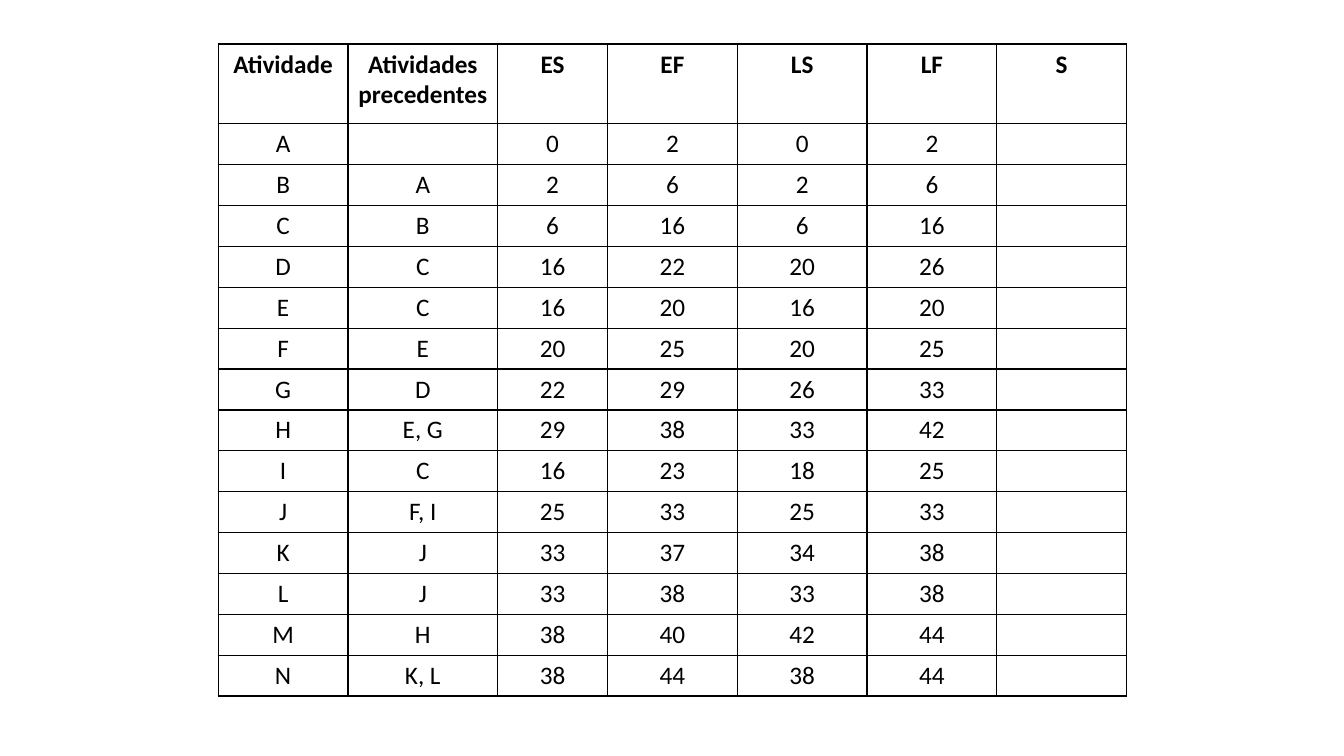
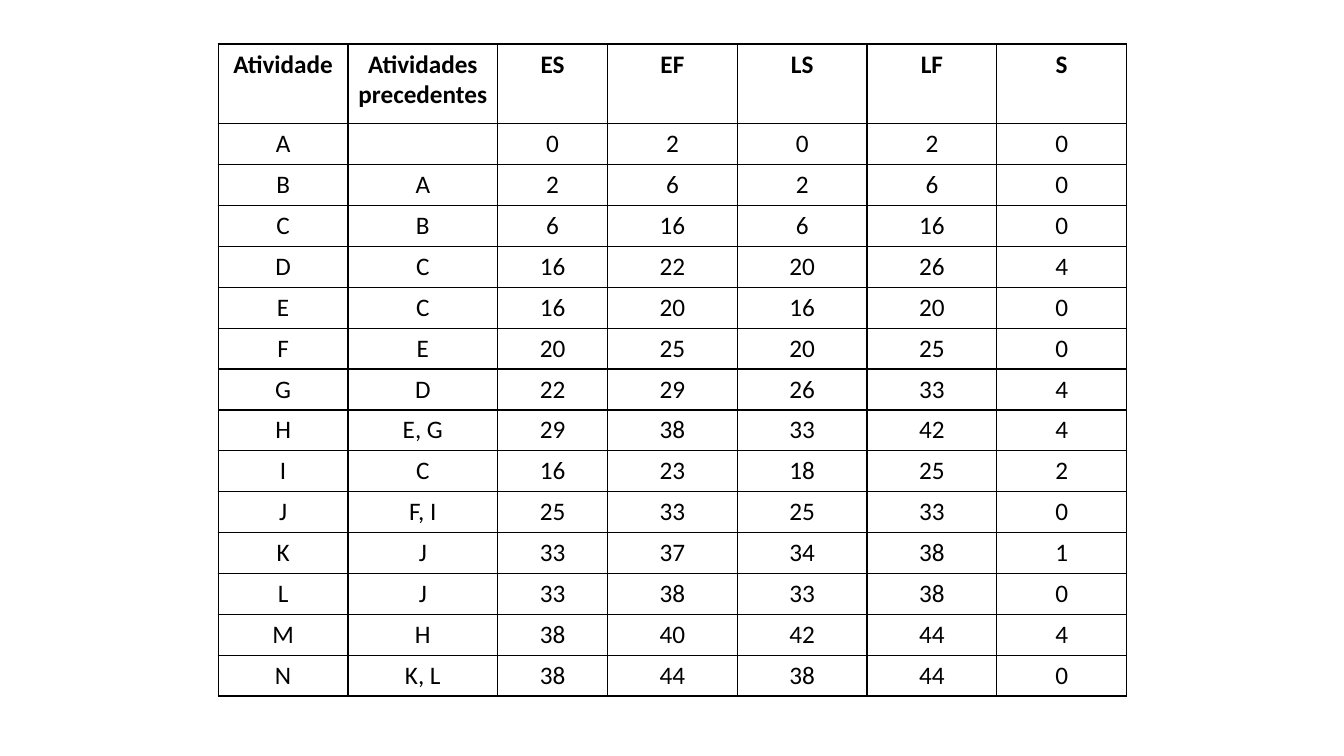
from dataclasses import dataclass

from lxml import etree
from pptx import Presentation
from pptx.dml.color import RGBColor
from pptx.enum.text import MSO_ANCHOR, PP_ALIGN
from pptx.oxml.ns import qn
from pptx.slide import Slide
from pptx.table import _Cell as Cell
from pptx.util import Cm, Pt


@dataclass(frozen=True)
class Theme:
    font: str = "Calibri"
    ink: str = "000000"
    text_size: Pt = Pt(18)
    border_width: Pt = Pt(1)


@dataclass(frozen=True)
class Activity:
    label: str
    predecessors: str
    es: int
    ef: int
    ls: int
    lf: int

    def row(self, show_slack: bool) -> list[str]:
        slack = self.ls - self.es if show_slack else ""
        values = (self.label, self.predecessors, self.es, self.ef, self.ls, self.lf, slack)
        return [str(value) for value in values]


THEME = Theme()
HEADINGS = ["Atividade", "Atividades precedentes", "ES", "EF", "LS", "LF", "S"]
ACTIVITIES = [
    Activity("A", "", 0, 2, 0, 2),
    Activity("B", "A", 2, 6, 2, 6),
    Activity("C", "B", 6, 16, 6, 16),
    Activity("D", "C", 16, 22, 20, 26),
    Activity("E", "C", 16, 20, 16, 20),
    Activity("F", "E", 20, 25, 20, 25),
    Activity("G", "D", 22, 29, 26, 33),
    Activity("H", "E, G", 29, 38, 33, 42),
    Activity("I", "C", 16, 23, 18, 25),
    Activity("J", "F, I", 25, 33, 25, 33),
    Activity("K", "J", 33, 37, 34, 38),
    Activity("L", "J", 33, 38, 33, 38),
    Activity("M", "H", 38, 40, 42, 44),
    Activity("N", "K, L", 38, 44, 38, 44),
]
LEFT, TOP = Cm(5.5), Cm(1.11)
COLUMN_WIDTHS = [Cm(3.27), Cm(3.77), Cm(2.77)] + [Cm(3.27)] * 4
HEADING_HEIGHT, ACTIVITY_HEIGHT = Cm(2.01), Cm(1.03)


def add_borders(cell: Cell) -> None:
    """Outline all four sides; must run before the fill is set."""
    properties = cell._tc.get_or_add_tcPr()
    for side in ("lnL", "lnR", "lnT", "lnB"):
        line = etree.SubElement(properties, qn(f"a:{side}"), w=str(THEME.border_width))
        fill = etree.SubElement(line, qn("a:solidFill"))
        etree.SubElement(fill, qn("a:srgbClr"), val=THEME.ink)


def fill_cell(cell: Cell, text: str, bold: bool) -> None:
    add_borders(cell)
    cell.fill.background()
    cell.vertical_anchor = MSO_ANCHOR.TOP
    paragraph = cell.text_frame.paragraphs[0]
    paragraph.alignment = PP_ALIGN.CENTER
    if text:
        run = paragraph.add_run()
        run.text = text
        text_format = {"name": THEME.font, "size": THEME.text_size, "bold": bold}
        for attribute, value in text_format.items():
            setattr(run.font, attribute, value)
        run.font.color.rgb = RGBColor.from_string(THEME.ink)


def add_schedule(slide: Slide, show_slack: bool) -> None:
    rows = [HEADINGS] + [activity.row(show_slack) for activity in ACTIVITIES]
    heights = [HEADING_HEIGHT] + [ACTIVITY_HEIGHT] * len(ACTIVITIES)
    schedule = slide.shapes.add_table(
        len(rows), len(HEADINGS), LEFT, TOP, sum(COLUMN_WIDTHS), sum(heights)
    ).table
    schedule.first_row = schedule.horz_banding = False
    for column, width in zip(schedule.columns, COLUMN_WIDTHS):
        column.width = width
    for index, (row, height, texts) in enumerate(zip(schedule.rows, heights, rows)):
        row.height = height
        for cell, text in zip(row.cells, texts):
            fill_cell(cell, text, bold=index == 0)


def main() -> None:
    deck = Presentation()
    deck.slide_width, deck.slide_height = Cm(33.87), Cm(19.05)
    blank = deck.slide_layouts[6]
    for show_slack in (False, True):
        add_schedule(deck.slides.add_slide(blank), show_slack)
    deck.save("out.pptx")


if __name__ == "__main__":
    main()
